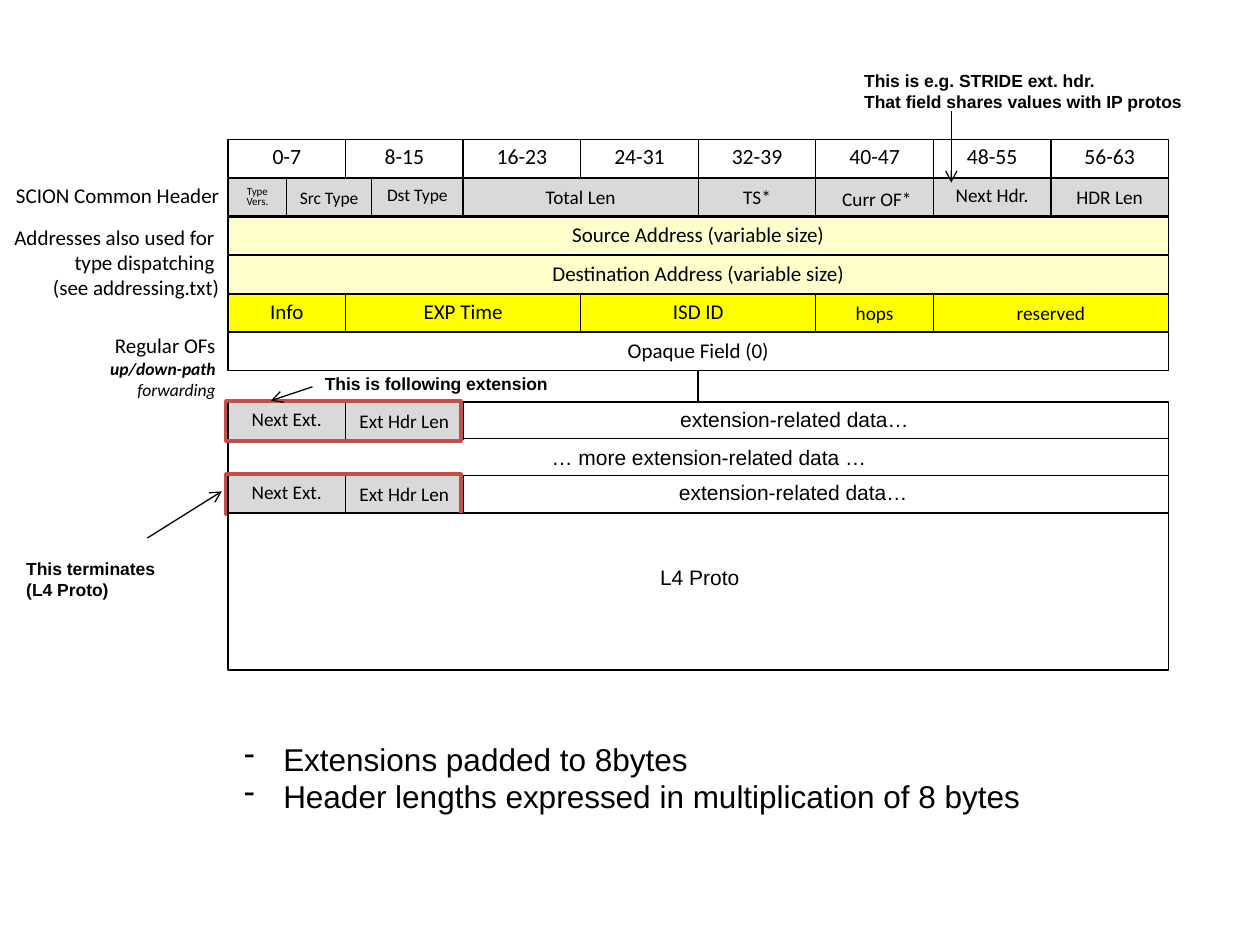
import pptx
import pptx.util
from pptx.dml.color import RGBColor
from pptx.enum.shapes import MSO_CONNECTOR, MSO_SHAPE
from pptx.enum.text import MSO_ANCHOR, MSO_AUTO_SIZE, PP_ALIGN
from pptx.oxml.ns import qn
from lxml import etree

COLORS = {"black": "000000", "white": "FFFFFF", "grey": "D9D9D9",
          "cream": "FFFFCC", "yellow": "FFFF00", "red": "C0504D"}
WIDTH, HEIGHT = pptx.util.Inches(10), pptx.util.Inches(7.5)

# Packet grid in percent of the slide: one column per byte
GRID_LEFT, GRID_TOP = 18.1, 14.8
COLUMN, ROW = 9.33, 4.08
FIELD_HEIGHT = 0.98
EXTENSION_ROWS = (6.8, 7.75, 8.7)
PAYLOAD_ROW = 9.7

# Row, first byte, end byte, fill, text, size, line spacing
FIELDS = [
    (1, 0, 0.5, "grey", "Type\nVers.", 6.3, 0.8),
    (1, 0.5, 1.22, "grey", "Src Type", 10, None),
    (1, 1.22, 2, "grey", "Dst Type", 10, 0.75),
    (1, 2, 4, "grey", "Total Len", 11, None),
    (1, 4, 5, "grey", "TS*", 11, None),
    (1, 5, 6, "grey", "", 11, None),
    (1, 6, 7, "grey", "Next Hdr.", 11, 0.75),
    (1, 7, 8, "grey", "HDR Len", 11, None),
    (2, 0, 8, "cream", "Source Address (variable size)", 12, 0.9),
    (3, 0, 8, "cream", "Destination Address (variable size)", 12, 0.9),
    (4, 0, 1, "yellow", "Info", 12, 0.9),
    (4, 1, 3, "yellow", "EXP Time", 12, 0.9),
    (4, 3, 5, "yellow", "ISD ID", 12, 0.9),
    (4, 5, 6, "yellow", "hops", 11, None),
    (4, 6, 8, "yellow", "reserved", 11, None),
    (5, 0, 8, "white", "Opaque Field (0)", 12, 0.9),
]

# Left, top, width, height in percent, text, size
SIDE_LABELS = [
    (9, 18.67, 9.4, 5.33, "SCION Common Header"),
    (9, 23.07, 9.4, 5.33,
     "Addresses also used for \ntype dispatching \n(see addressing.txt)"),
]
DATA_LABELS = [
    (53, 42.4, 20.1, 4, "extension-related data…"),
    (42.8, 46.4, 27, 4, "… more extension-related data …"),
    (52.9, 50.13, 20.1, 4, "extension-related data…"),
    (51.4, 59.07, 8.3, 4, "L4 Proto"),
]
REMARKS = [
    (1.1, 58.4, 12.6, 5.87, "This terminates\n(L4 Proto)"),
    (67.6, 6.8, 27.2, 5.87,
     "This is e.g. STRIDE ext. hdr.\nThat field shares values with IP protos"),
    (24.8, 38.8, 19.7, 3.6, "This is following extension"),
]
ARROWS = [(11.7, 56.93, 17.6, 52), (75.5, 11.73, 75.5, 19.33),
          (24.8, 40.93, 21.5, 42.4)]


def color(name):
    return RGBColor.from_string(COLORS[name])


def across(percent):
    return round(WIDTH * percent / 100)


def down(percent):
    return round(HEIGHT * percent / 100)


def write(box, text, size, font, align, spacing=None, bold=None):
    box.text_frame.text = text
    for para in box.text_frame.paragraphs:
        para.alignment = align
        if spacing:
            para.line_spacing = spacing
        for span in para.runs:
            span.font.size = pptx.util.Pt(size)
            span.font.name = font
            span.font.bold = bold
            span.font.color.rgb = color("black")


def add_cell(page, row, first, end, fill, line="black", weight=0.75,
             rows=FIELD_HEIGHT):
    cell = page.shapes.add_shape(
        MSO_SHAPE.RECTANGLE, across(GRID_LEFT + first * COLUMN),
        down(GRID_TOP + row * ROW), across((end - first) * COLUMN), down(rows * ROW))
    cell.shadow.inherit = False
    if fill:
        cell.fill.solid()
        cell.fill.fore_color.rgb = color(fill)
    else:
        cell.fill.background()
    cell.line.color.rgb = color(line)
    cell.line.width = pptx.util.Pt(weight)
    return cell


def add_field(page, row, first, end, fill, text, size, spacing=None):
    field = add_cell(page, row, first, end, fill)
    field.text_frame.vertical_anchor = MSO_ANCHOR.MIDDLE
    if text:
        write(field, text, size, "Calibri", PP_ALIGN.CENTER, spacing)


def add_label(page, left, top, width, height, text, size=12, font="Arial",
              align=PP_ALIGN.LEFT, bold=None):
    box = page.shapes.add_textbox(across(left), down(top), across(width), down(height))
    box.text_frame.word_wrap = False
    box.text_frame.auto_size = MSO_AUTO_SIZE.NONE
    write(box, text, size, font, align, bold=bold)
    return box


def add_line(page, x1, y1, x2, y2, arrow=False):
    line = page.shapes.add_connector(
        MSO_CONNECTOR.STRAIGHT, across(x1), down(y1), across(x2), down(y2))
    line.line.color.rgb = color("black")
    line.line.width = pptx.util.Pt(0.75)
    if arrow:
        etree.SubElement(line.line._get_or_add_ln(), qn("a:tailEnd"), type="arrow")
    etree.SubElement(line._element.spPr, qn("a:effectLst"))


def add_dashes(box):
    for para in box.text_frame.paragraphs:
        properties = para._p.get_or_add_pPr()
        indent = pptx.util.Inches(0.31)
        properties.set("marL", str(indent))
        properties.set("indent", str(-indent))
        bullet_color = etree.SubElement(properties, qn("a:buClr"))
        etree.SubElement(bullet_color, qn("a:srgbClr"), val=COLORS["black"])
        etree.SubElement(properties, qn("a:buChar"), char="-")


def add_packet(page):
    # Bit ranges
    for byte in range(8):
        add_field(page, 0, byte, byte + 1, "white", f"{byte * 8}-{byte * 8 + 7}",
                  12.4, 0.8)
    # Common header, addresses and opaque fields
    for field in FIELDS:
        add_field(page, *field)
    # Extensions and payload
    for row in EXTENSION_ROWS:
        add_cell(page, row, 0, 8, "white")
    for row in EXTENSION_ROWS[::2]:
        add_field(page, row, 0, 1, "grey", "Next Ext.", 11, 0.75)
        add_field(page, row, 1, 2, "grey", "Ext Hdr Len", 11)
        add_cell(page, row - 0.03, -0.02, 1.98, None, "red", 2, 1.05)
    add_cell(page, PAYLOAD_ROW, 0, 8, "white", rows=4.05)


def add_labels(page):
    for label in SIDE_LABELS:
        add_label(page, *label, font="Calibri", align=PP_ALIGN.RIGHT)
    add_label(page, 65.3, 19.2, 8.6, 3.73, "Curr OF*", 11, "Calibri", PP_ALIGN.CENTER)
    for label in DATA_LABELS:
        add_label(page, *label)
    for remark in REMARKS:
        add_label(page, *remark, size=10, bold=True)

    # Opaque field label with a smaller italic explanation
    forwarding = add_label(page, 5.3, 34.53, 12.8, 6.8,
                           "Regular OFs\nup/down-path\nforwarding",
                           font="Calibri", align=PP_ALIGN.RIGHT)
    for para, bold in zip(forwarding.text_frame.paragraphs[1:], (True, False)):
        span = para.runs[0]
        span.font.size = pptx.util.Pt(10)
        span.font.italic = True
        span.font.bold = bold


def main():
    deck = pptx.Presentation()
    deck.slide_width, deck.slide_height = WIDTH, HEIGHT
    page = deck.slides.add_slide(deck.slide_layouts[6])
    add_packet(page)
    add_labels(page)

    # Link to the extensions, and arrows from the remarks
    add_line(page, 55.4, 39.2, 55.4, 42.53)
    for arrow in ARROWS:
        add_line(page, *arrow, arrow=True)

    # Rules for extensions
    rules = add_label(page, 18.4, 77.6, 63.6, 13.33,
                      "Extensions padded to 8bytes\n"
                      "Header lengths expressed in multiplication of 8 bytes", 18)
    add_dashes(rules)
    deck.save("out.pptx")


if __name__ == "__main__":
    main()
